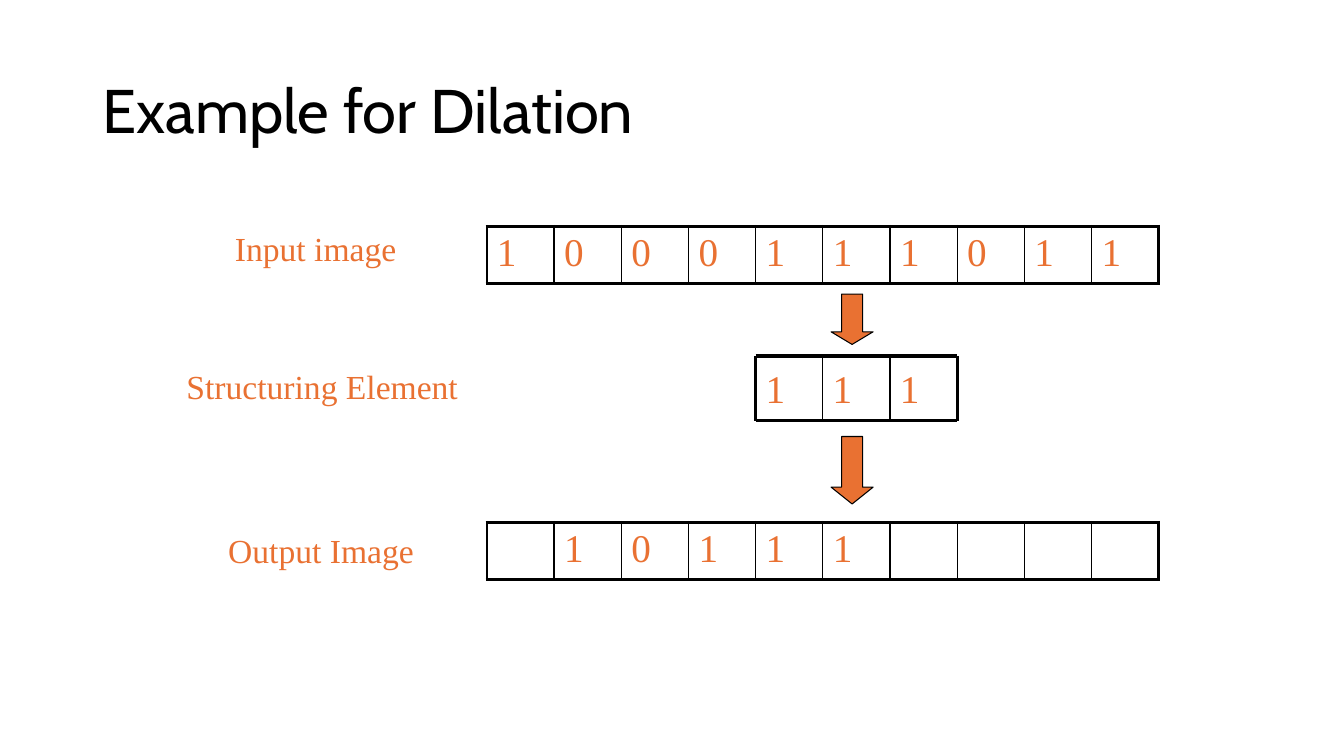
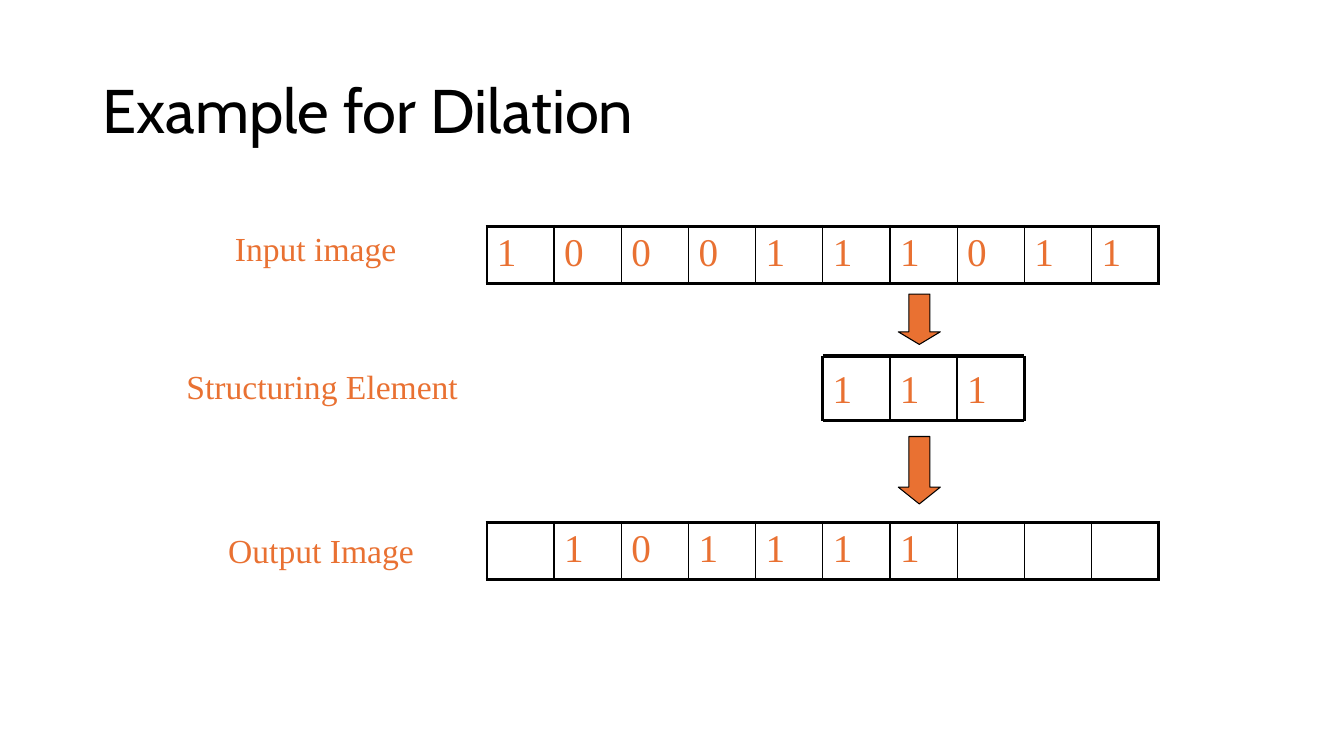
from lxml import etree
from pptx import Presentation
from pptx.dml.color import RGBColor
from pptx.enum import shapes, text
from pptx.oxml.ns import qn
from pptx.util import Cm, Pt

ORANGE, BLACK = "E97132", "000000"
SERIF = "Times New Roman"
LEFT, CELL = 12.27, 16.93 / 10
THICK, THIN = 2.25, 1

LABELS = [("Input image", 5.67, 5.61, 4.57),
          ("Structuring Element", 4.45, 9.09, 7.4),
          ("Output Image", 5.5, 13.23, 5.18)]
ARROWS = [(7.41, 1.27, 0.3), (11, 1.7, 0.4)]  # top, height, head
INPUT = "1000111011"
STEPS = [(4, " 10111    "), (5, " 101111   ")]  # element column, output
SIZE, TOP, BOTTOM = 3, 8.97, 10.6  # structuring element


def color(hue):
    return RGBColor.from_string(hue)


def style(par, size, name=SERIF, hue=ORANGE):
    par.font.size, par.font.name = Pt(size), name
    par.font.color.rgb = color(hue)


prs = Presentation()
prs.slide_width, prs.slide_height = Cm(33.87), Cm(19.05)

for col, output in STEPS:
    slide = prs.slides.add_slide(prs.slide_layouts[5])

    title = slide.shapes.title
    title.left, title.top = Cm(2.33), Cm(1.01)
    title.width, title.height = Cm(29.21), Cm(3.68)
    title.text = "Example for Dilation"
    title.text_frame.vertical_anchor = text.MSO_ANCHOR.MIDDLE
    par = title.text_frame.paragraphs[0]
    par.alignment, par.line_spacing = text.PP_ALIGN.LEFT, 0.9
    style(par, 44, "Cabin", BLACK)

    # Input and output rows
    for bits, top in [(INPUT, 5.7), (output, 13.16)]:
        count = len(bits)
        table = slide.shapes.add_table(1, count, Cm(LEFT), Cm(top),
                                       Cm(count * CELL), Cm(1.45)).table
        table.first_row = table.horz_banding = False
        for i, bit in enumerate(bits):
            table.columns[i].width = Cm(CELL)
            cell = table.cell(0, i)
            cell.text = bit.strip()
            style(cell.text_frame.paragraphs[0], 28)
            props = cell._tc.get_or_add_tcPr()
            sides = {"L": THIN if i else THICK,
                     "R": THIN if i < count - 1 else THICK,
                     "T": THICK, "B": THICK}
            for side, width in sides.items():
                line = etree.SubElement(props, qn("a:ln" + side),
                                        w=str(Pt(width)))
                fill = etree.SubElement(line, qn("a:solidFill"))
                etree.SubElement(fill, qn("a:srgbClr"), val=BLACK)
            cell.fill.background()

    for label, left, top, width in LABELS:
        box = slide.shapes.add_textbox(Cm(left), Cm(top), Cm(width), Cm(1.28))
        box.text_frame.word_wrap = False
        box.text_frame.auto_size = text.MSO_AUTO_SIZE.SHAPE_TO_FIT_TEXT
        box.text_frame.text = label
        style(box.text_frame.paragraphs[0], 24)

    # Structuring element: digits, then its grid lines
    edges = [LEFT + (col + i) * CELL for i in range(SIZE + 1)]
    for left in edges[:-1]:
        box = slide.shapes.add_textbox(Cm(left), Cm(TOP), Cm(CELL),
                                       Cm(BOTTOM - TOP))
        box.text_frame.word_wrap = True
        box.text_frame.margin_top = Cm(0.2)
        box.text_frame.text = "1"
        style(box.text_frame.paragraphs[0], 28)

    first, last = edges[0], edges[-1]
    lines = [(first, y, last, y, THICK) for y in (TOP, BOTTOM)]
    lines += [(x, TOP, x, BOTTOM, THICK if x in (first, last) else THIN)
              for x in edges]
    for *ends, width in lines:
        line = slide.shapes.add_connector(shapes.MSO_CONNECTOR.STRAIGHT,
                                          *map(Cm, ends))
        line.line.color.rgb = color(BLACK)
        line.line.width = Pt(width)
        etree.SubElement(line._element.spPr, qn("a:effectLst"))

    for top, height, head in ARROWS:
        arrow = slide.shapes.add_shape(
            shapes.MSO_SHAPE.DOWN_ARROW, Cm(edges[1] + 0.21), Cm(top),
            Cm(1.06), Cm(height))
        arrow.adjustments[0], arrow.adjustments[1] = 0.5, head
        arrow.shadow.inherit = False
        arrow.fill.solid()
        arrow.fill.fore_color.rgb = color(ORANGE)
        arrow.line.color.rgb = color(BLACK)
        arrow.line.width = Pt(0.75)

prs.save("out.pptx")
